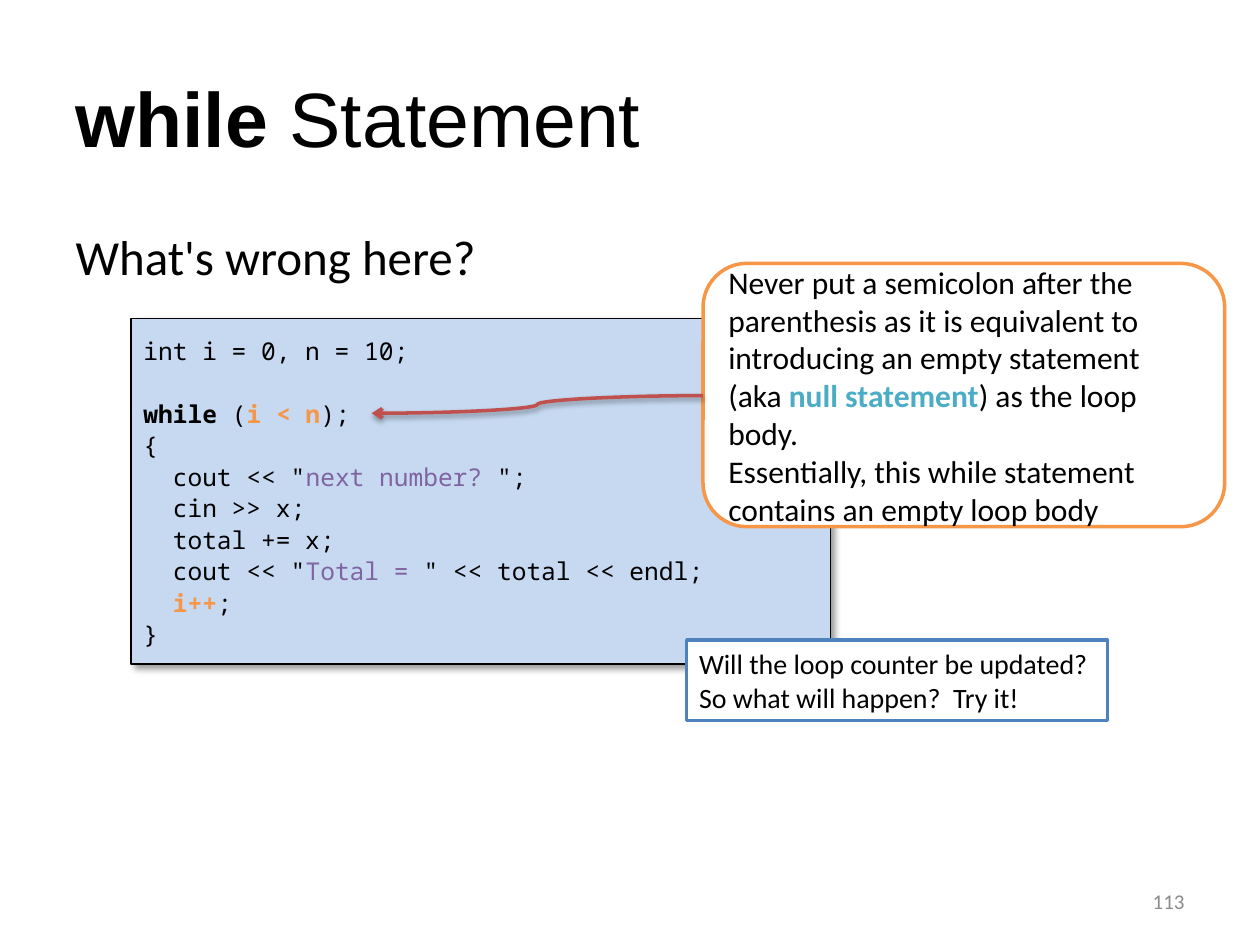
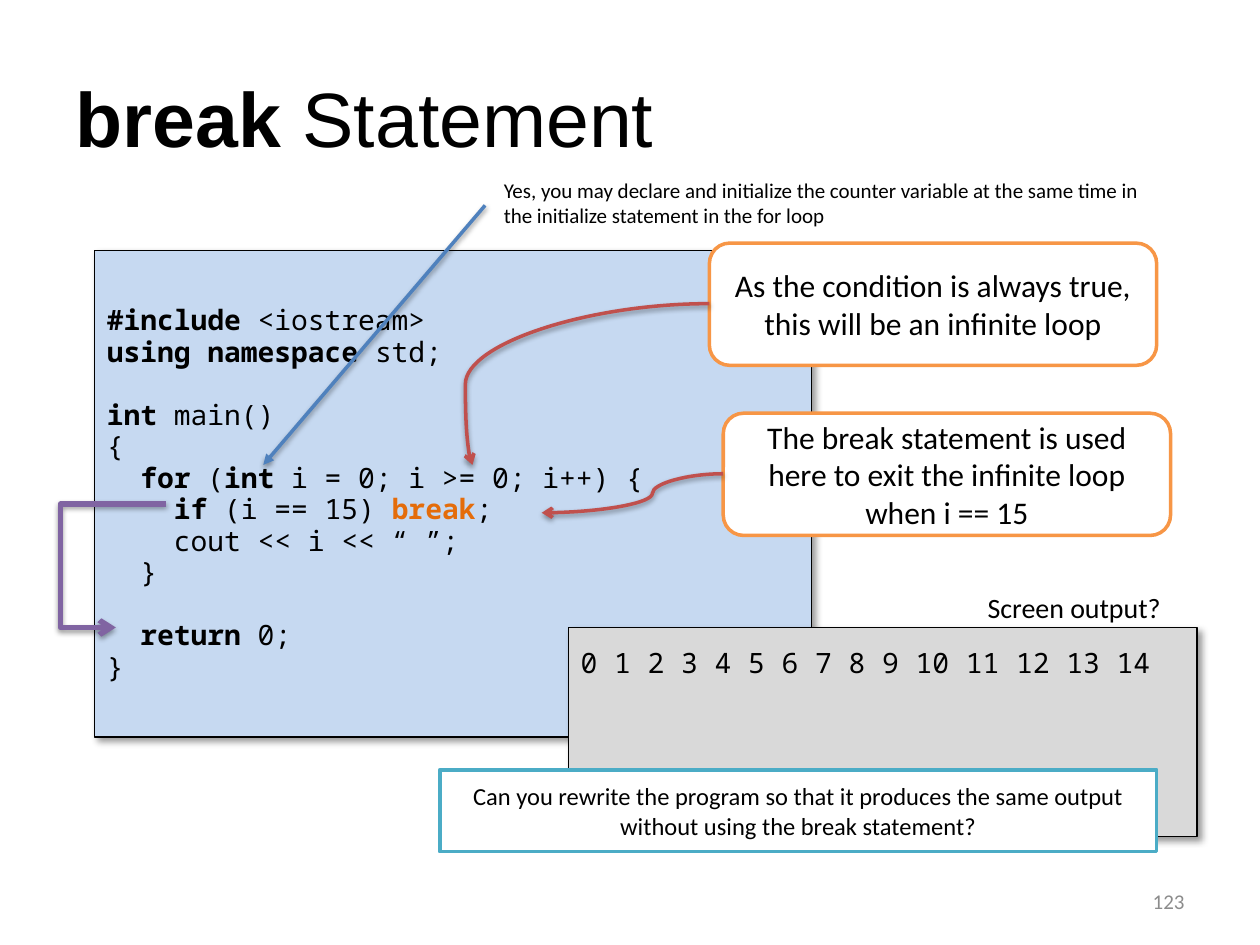
from lxml.etree import SubElement
from pptx import Presentation
from pptx.dml.color import RGBColor
from pptx.enum.shapes import MSO_CONNECTOR as Link, MSO_SHAPE as Preset
from pptx.enum.text import MSO_ANCHOR as Anchor, MSO_AUTO_SIZE as Fit, PP_ALIGN as Align
from pptx.oxml.ns import qn
from pptx.util import Emu, Inches, Pt

# Grid: 20 columns by 15 rows of half-inch cells
CELL = Inches(0.5)
COLUMNS, ROWS = 20, 15

# Shared look
BLACK, WHITE, GREY = "000000", "FFFFFF", "8C8C8C"
CODE_BLUE, SCREEN_GREY = "C6D9F1", "D9D9D9"
ORANGE, DARK_ORANGE, RED = "F79646", "E46C0A", "C0504D"
BLUE, TEAL, PURPLE = "4F81BD", "4BACC6", "8064A2"
TITLE_FONT, TEXT_FONT, CODE_FONT = "Arial", "Calibri", "Noto Sans Mono"
CODE_PITCH = Pt(18)
BOX_SHADOW = dict(alpha=40, blur=4, distance=3, angle=45)
LINE_SHADOW = dict(alpha=38, blur=3.1, distance=1.6, angle=90)


def colour(code):
    return RGBColor.from_string(code)


def cells(*counts):
    return [Emu(round(count * CELL)) for count in counts]


def bold(text, code=BLACK):
    return text, code, True


def tint(text, code):
    return text, code, False


# Text
def write(frame, lines, size, font=TEXT_FONT, align=Align.LEFT, code=BLACK, pitch=None):
    """Fill a frame; a line is a string or a list of spans, None leaves a line free."""
    frame.word_wrap = True
    para, gap = None, 0
    for line in lines:
        if line is None:
            gap += pitch
            continue
        para = frame.add_paragraph() if para is not None else frame.paragraphs[0]
        para.alignment = align
        para.space_before, gap = Emu(gap), 0
        if pitch:
            para.line_spacing = pitch
        para.font.name, para.font.size = font, Pt(size)
        para.font.color.rgb = colour(code)
        for span in [line] if isinstance(line, str) else line:
            text, span_code, strong = (span, code, False) if isinstance(span, str) else span
            run = para.add_run()
            run.text = text
            run.font.name, run.font.size = font, Pt(size)
            run.font.bold = strong
            run.font.color.rgb = colour(span_code)


def add_label(page, area, lines, size, **style):
    box = page.shapes.add_textbox(*cells(*area))
    write(box.text_frame, lines, size, **style)
    return box


def add_number(page, number):
    box = add_label(page, (14.34, 13.9, 4.66, 0.8), [number], 12, align=Align.RIGHT, code=GREY)
    box.text_frame.vertical_anchor = Anchor.MIDDLE


def add_title(page, keyword):
    title = page.shapes.title
    title.left, title.top, title.width, title.height = cells(1, 0.6, 18, 2.5)
    title.text_frame.vertical_anchor = Anchor.MIDDLE
    write(title.text_frame, [[bold(keyword), " Statement"]], 44, TITLE_FONT)


def add_question(page, text):
    body = page.placeholders[1]
    body.left, body.top, body.width, body.height = cells(1, 3.5, 18, 9.9)
    body.text_frame.auto_size = Fit.NONE
    properties = body.text_frame.paragraphs[0]._p.get_or_add_pPr()
    properties.set("marL", "0")
    properties.set("indent", "0")
    SubElement(properties, qn("a:buNone"))
    write(body.text_frame, [text], 28)


# Shapes
def add_shadow(shape, alpha, blur, distance, angle):
    properties = shape.element.spPr
    effects = properties.find(qn("a:effectLst"))
    if effects is None:
        effects = SubElement(properties, qn("a:effectLst"))
    shadow = SubElement(effects, qn("a:outerShdw"), blurRad=str(Pt(blur)),
                        dist=str(Pt(distance)), dir=str(angle * 60000), rotWithShape="0")
    shade = SubElement(shadow, qn("a:srgbClr"), val=BLACK)
    SubElement(shade, qn("a:alpha"), val=str(alpha * 1000))


def add_box(page, area, fill, edge, width=2, preset=Preset.RECTANGLE, anchor=Anchor.MIDDLE):
    box = page.shapes.add_shape(preset, *cells(*area))
    box.shadow.inherit = False
    box.fill.solid()
    box.fill.fore_color.rgb = colour(fill)
    box.line.color.rgb = colour(edge)
    box.line.width = Pt(width)
    box.text_frame.vertical_anchor = anchor
    return box


def add_code(page, area, lines, size):
    box = add_box(page, area, CODE_BLUE, BLACK, 0.75)
    add_shadow(box, **BOX_SHADOW)
    write(box.text_frame, lines, size, CODE_FONT, pitch=CODE_PITCH)


def add_screen(page, area, output):
    box = add_box(page, area, SCREEN_GREY, BLACK, 0.75, anchor=Anchor.TOP)
    add_shadow(box, **BOX_SHADOW)
    box.text_frame.margin_top = Inches(0.14)
    write(box.text_frame, [output], 16, CODE_FONT)


def add_callout(page, area, lines, align=Align.CENTER):
    box = add_box(page, area, WHITE, ORANGE, preset=Preset.ROUNDED_RECTANGLE)
    write(box.text_frame, lines, 18, align=align)


def add_task(page, area, edge, lines, size, align=Align.LEFT):
    box = add_box(page, area, WHITE, edge)
    write(box.text_frame, lines, size, align=align)


def add_arrow(page, start, end, code, kind=Link.CURVE, bend=None, width=2, head="arrow"):
    """Draw an arrow; bend is where it turns, as a share of its width."""
    arrow = page.shapes.add_connector(kind, *cells(*start, *end))
    arrow.line.color.rgb = colour(code)
    arrow.line.width = Pt(width)
    properties = arrow.element.spPr
    SubElement(properties.find(qn("a:ln")), qn("a:tailEnd"), type=head)
    if bend is not None:
        guides = properties.find(qn("a:prstGeom")).get_or_add_avLst()
        SubElement(guides, qn("a:gd"), name="adj1", fmla=f"val {round(bend * 100000)}")
    add_shadow(arrow, **LINE_SHADOW)


# Slides
def build_while(deck):
    page = deck.slides.add_slide(deck.slide_layouts[1])
    add_title(page, "while")
    add_question(page, "What's wrong here?")
    add_code(page, (2.08, 5.06, 11.1, 5.48), [
        "int i = 0, n = 10;",
        None,
        [bold("while"), " (", bold("i < n", ORANGE), ");"],
        "{",
        ["  cout << \"", tint("next number?", PURPLE), " \";"],
        "  cin >> x;",
        "  total += x;",
        ["  cout << \"", tint("Total = ", PURPLE), "\" << total << endl;"],
        [bold("  i++", ORANGE), ";"],
        "}",
    ], 14)
    add_callout(page, (11.16, 4.18, 8.28, 4.18), [
        ["Never put a semicolon after the parenthesis as it is equivalent to "
         "introducing an empty statement (aka ", bold("null statement", TEAL),
         ") as the loop body."],
        "Essentially, this while statement contains an empty loop body",
    ], Align.LEFT)
    add_arrow(page, (11.16, 6.28), (5.9, 6.56), RED, bend=0.5)
    add_number(page, "113")
    add_task(page, (10.9, 10.16, 6.68, 1.28), BLUE,
             ["Will the loop counter be updated?", "So what will happen?  Try it!"], 16)


def build_break(deck):
    page = deck.slides.add_slide(deck.slide_layouts[5])
    add_title(page, "break")
    add_code(page, (1.5, 3.98, 11.38, 7.72), [
        [bold("#include"), " <iostream>"],
        [bold("using namespace "), "std;"],
        None,
        [bold("int"), " main()"],
        "{",
        [bold("  for "), "(", bold("int "), "i = 0; i >= 0; i++) {"],
        [bold("    if"), " (i == 15) ", bold("break", DARK_ORANGE), ";"],
        "    cout << i << “ ”;",
        "  }",
        None,
        [bold("  return"), " 0;"],
        "}",
    ], 16)
    add_callout(page, (11.26, 3.86, 7.1, 1.94),
                ["As the condition is always true, this will be an infinite loop"])
    add_callout(page, (11.48, 6.56, 7.1, 1.94),
                ["The break statement is used here to exit the infinite loop when i == 15"])
    add_arrow(page, (11.26, 4.82), (7.5, 7.38), RED, bend=1.03)
    add_arrow(page, (11.48, 7.52), (8.6, 8.14), RED, bend=0.39)
    add_number(page, "123")
    add_screen(page, (9.02, 9.96, 9.98, 3.32), "0 1 2 3 4 5 6 7 8 9 10 11 12 13 14")
    add_label(page, (15.48, 9.28, 3.52, 0.68), ["Screen output?"], 16)
    add_arrow(page, (2.64, 8), (1.84, 9.96), PURPLE, Link.ELBOW, bend=2.1, width=3)
    add_task(page, (6.98, 12.22, 11.38, 1.3), TEAL,
             ["Can you rewrite the program so that it produces the same output "
              "without using the break statement?"], 14, Align.CENTER)
    add_arrow(page, (7.7, 3.26), (4.18, 7.38), BLUE, Link.STRAIGHT, head="triangle")
    add_label(page, (7.8, 2.72, 10.78, 1),
              ["Yes, you may declare and initialize the counter variable at the same "
               "time in the initialize statement in the for loop"], 12)


def main():
    deck = Presentation()
    deck.slide_width, deck.slide_height = cells(COLUMNS, ROWS)
    build_while(deck)
    build_break(deck)
    deck.save("out.pptx")


if __name__ == "__main__":
    main()
